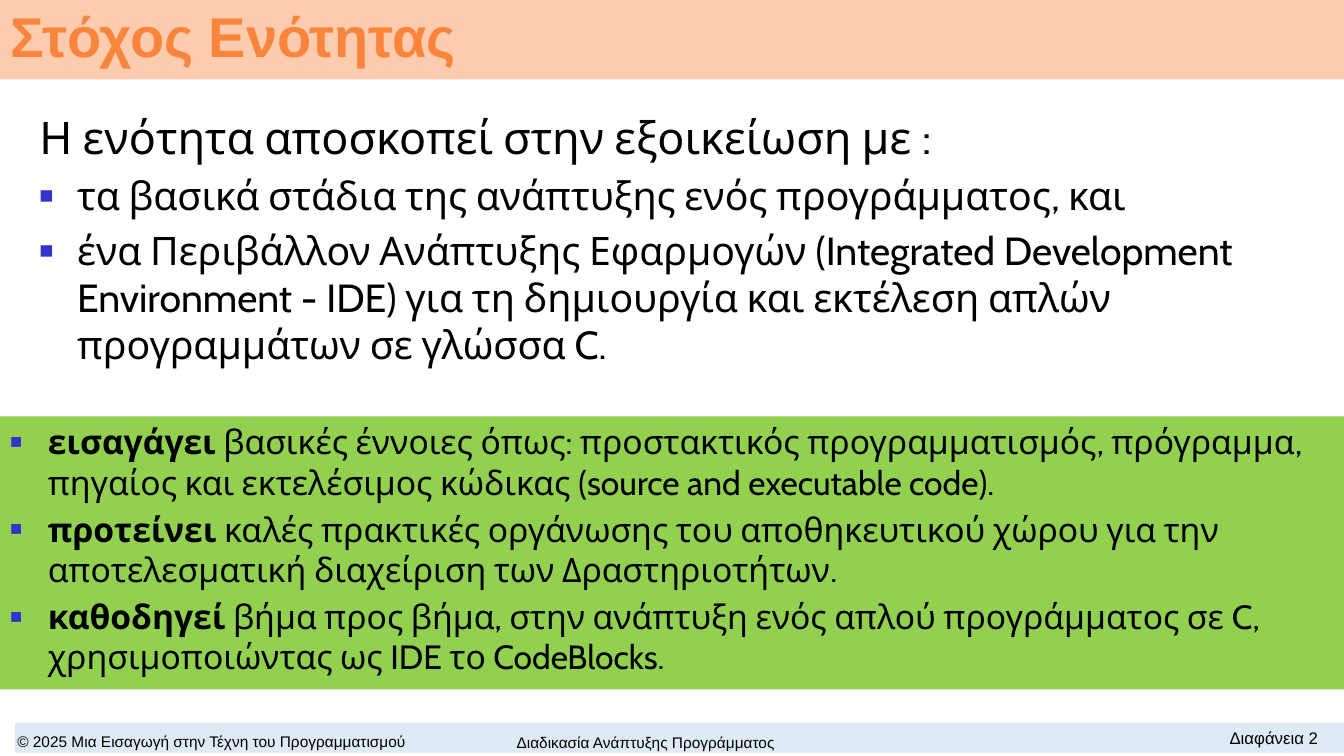
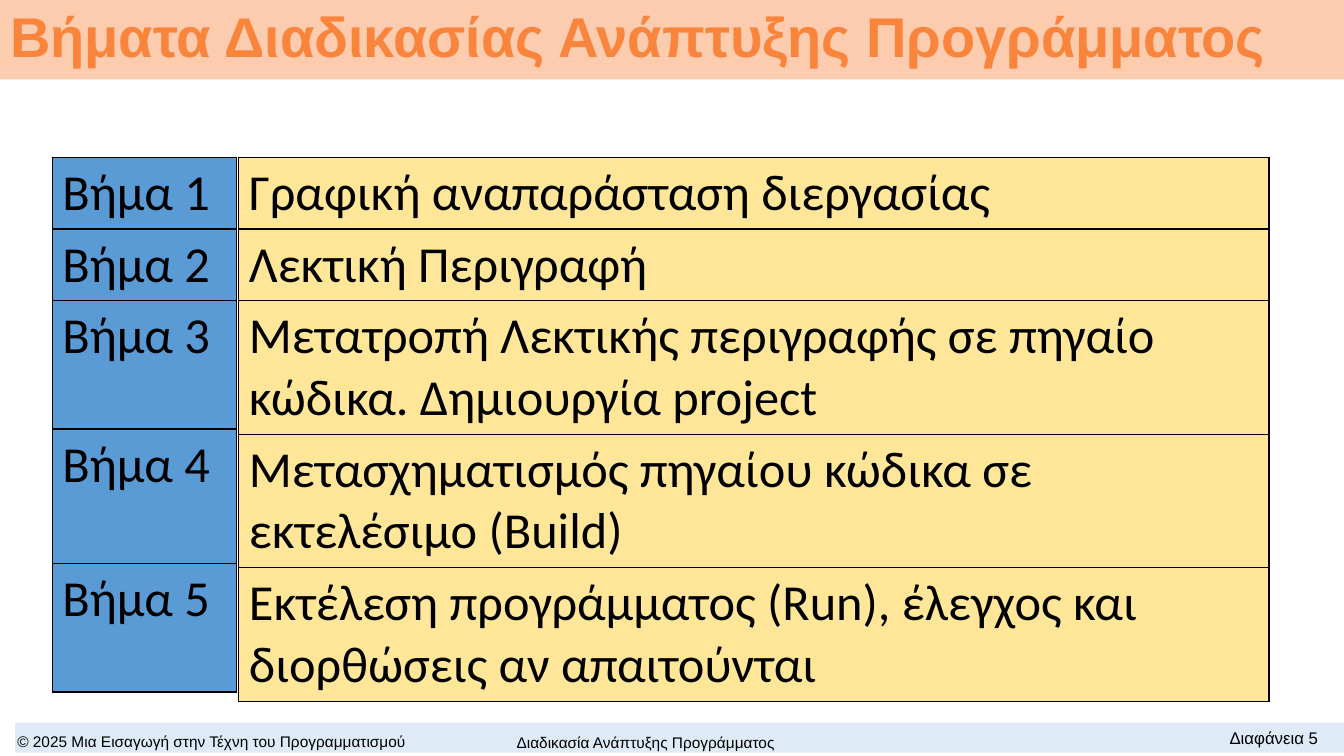
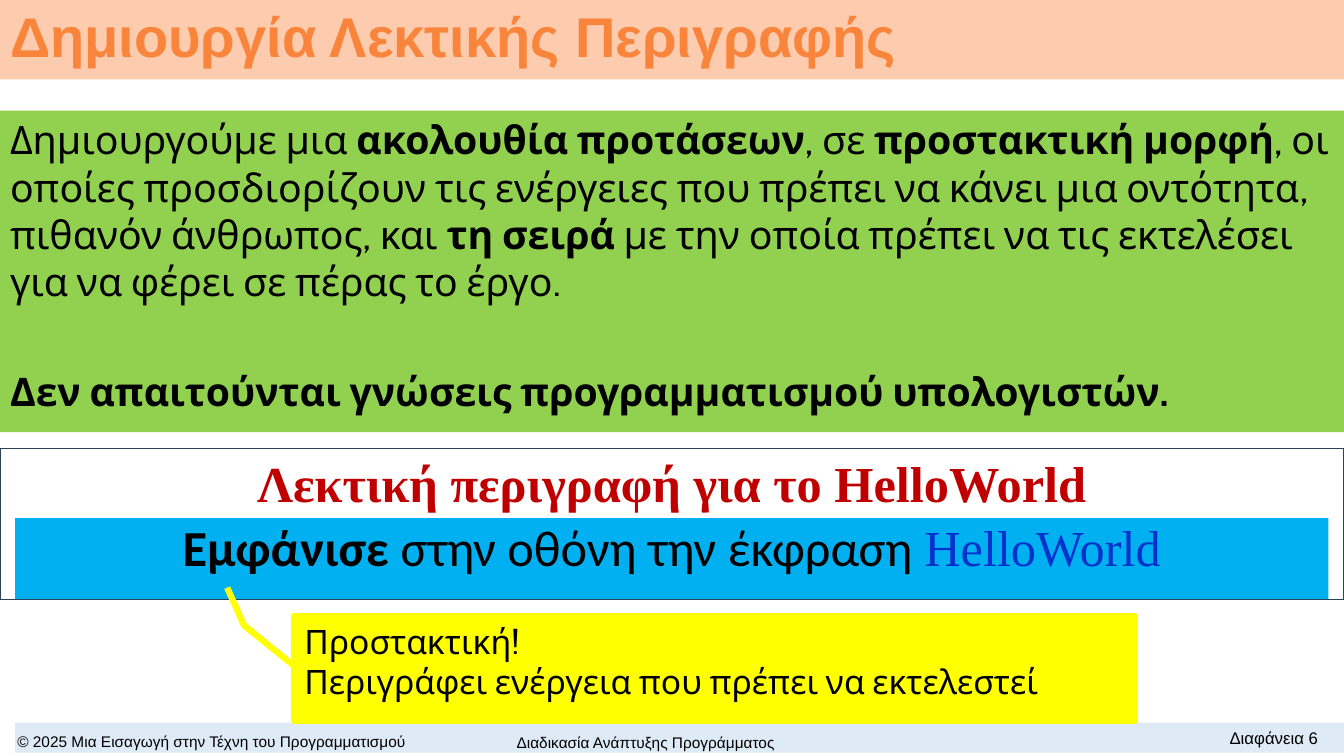
from dataclasses import dataclass
from typing import NamedTuple, Optional

import lxml.etree
import pptx
import pptx.dml.color
import pptx.enum.shapes
import pptx.enum.text
import pptx.oxml.ns
import pptx.shapes.autoshape
import pptx.slide
import pptx.text.text
import pptx.util

Align = pptx.enum.text.PP_ALIGN
Anchor = pptx.enum.text.MSO_ANCHOR
Preset = pptx.enum.shapes.MSO_SHAPE


@dataclass(frozen=True)
class Theme:
    black: str = "000000"
    white: str = "FFFFFF"
    title_text: str = "F9853D"
    title_band: str = "FDCBAD"
    footer_band: str = "DEEBF7"
    bullet: str = "3333CC"
    panel: str = "92D050"
    step: str = "5B9BD5"
    task: str = "FFE699"
    frame_line: str = "28445D"
    statement: str = "00B0F0"
    expression: str = "0033CC"
    heading: str = "C00000"
    callout: str = "FFFF00"
    ui_font: str = "Arial"
    body_font: str = "Cabin"
    table_font: str = "Calibri"
    code_font: str = "Times New Roman"
    title_size: int = 40
    large_size: int = 36
    lead_size: int = 32
    body_size: int = 28
    detail_size: int = 24
    page_size: int = 12
    footer_size: int = 11


THEME = Theme()
SLIDE_WIDTH, SLIDE_HEIGHT = 33.87, 19.05
BULLET_INDENT = 0.95


class Box(NamedTuple):
    left: float
    top: float
    width: float
    height: float

    def lengths(self) -> list[pptx.util.Length]:
        return [pptx.util.Cm(value) for value in self]


class Style(NamedTuple):
    font: str
    size: int
    color: str = THEME.black
    bold: bool = False


class Span(NamedTuple):
    text: str
    style: Style


class Para(NamedTuple):
    spans: list[Span]
    align: Align = Align.LEFT
    before: float = 0
    spacing: float = 1.0
    bullet: bool = False


class FooterText(NamedTuple):
    box: Box
    text: str
    size: int
    align: Align
    anchor: Anchor


class StepColumn(NamedTuple):
    left: float
    width: float
    fill: str
    row_heights: list[float]
    texts: list[str]


TITLE = Style(THEME.ui_font, THEME.title_size, THEME.title_text, True)
LEAD = Style(THEME.body_font, THEME.lead_size)
BODY = Style(THEME.body_font, THEME.body_size)
DETAIL = Style(THEME.body_font, THEME.detail_size)
TABLE = Style(THEME.table_font, THEME.large_size)
EXPRESSION = Style(THEME.code_font, THEME.large_size, THEME.expression)
HEADING = Style(THEME.code_font, THEME.large_size, THEME.heading, True)


def rgb(color: str) -> pptx.dml.color.RGBColor:
    return pptx.dml.color.RGBColor.from_string(color)


def strong(style: Style) -> Style:
    return style._replace(bold=True)


def add_mark(properties: lxml.etree._Element, tag: str, **attributes: str) -> lxml.etree._Element:
    return lxml.etree.SubElement(properties, pptx.oxml.ns.qn(tag), attributes)


def set_bullet(paragraph: pptx.text.text._Paragraph, shown: bool) -> None:
    properties = paragraph._p.get_or_add_pPr()
    indent = pptx.util.Cm(BULLET_INDENT if shown else 0)
    properties.set("marL", str(int(indent)))
    properties.set("indent", str(-int(indent)))
    if shown:
        add_mark(add_mark(properties, "a:buClr"), "a:srgbClr", val=THEME.bullet)
        add_mark(properties, "a:buSzPct", val="60000")
        add_mark(properties, "a:buFont", typeface=THEME.ui_font)
        add_mark(properties, "a:buChar", char="■")
    else:
        add_mark(properties, "a:buNone")


def add_span(paragraph: pptx.text.text._Paragraph, span: Span) -> None:
    font_values = {
        "name": span.style.font,
        "size": pptx.util.Pt(span.style.size),
        "bold": span.style.bold,
    }
    for position, line in enumerate(span.text.split("\n")):
        if position:
            paragraph.add_line_break()
        run = paragraph.add_run()
        run.text = line
        for name, value in font_values.items():
            setattr(run.font, name, value)
        run.font.color.rgb = rgb(span.style.color)


def write(frame: pptx.text.text.TextFrame, paras: list[Para], anchor: Anchor = Anchor.TOP) -> None:
    frame_values = {
        "word_wrap": True,
        "auto_size": pptx.enum.text.MSO_AUTO_SIZE.NONE,
        "vertical_anchor": anchor,
    }
    for name, value in frame_values.items():
        setattr(frame, name, value)
    for position, para in enumerate(paras):
        paragraph = frame.add_paragraph() if position else frame.paragraphs[0]
        set_bullet(paragraph, para.bullet)
        paragraph_values = {
            "alignment": para.align,
            "space_before": pptx.util.Pt(para.before),
            "line_spacing": para.spacing,
        }
        for name, value in paragraph_values.items():
            setattr(paragraph, name, value)
        for span in para.spans:
            add_span(paragraph, span)


def fill_placeholder(
    slide: pptx.slide.Slide,
    index: int,
    box: Box,
    paras: list[Para],
    fill: Optional[str] = None,
    anchor: Anchor = Anchor.TOP,
) -> None:
    placeholder = slide.placeholders[index]
    for name, value in zip(("left", "top", "width", "height"), box.lengths()):
        setattr(placeholder, name, value)
    if fill:
        placeholder.fill.solid()
        placeholder.fill.fore_color.rgb = rgb(fill)
    write(placeholder.text_frame, paras, anchor)


def add_panel(
    slide: pptx.slide.Slide,
    box: Box,
    fill: str,
    line: Optional[str] = None,
    line_width: float = 1,
    preset: Preset = Preset.RECTANGLE,
) -> pptx.shapes.autoshape.Shape:
    panel = slide.shapes.add_shape(preset, *box.lengths())
    panel.shadow.inherit = False
    panel.fill.solid()
    panel.fill.fore_color.rgb = rgb(fill)
    if line:
        panel.line.color.rgb = rgb(line)
        panel.line.width = pptx.util.Pt(line_width)
    else:
        panel.line.fill.background()
    return panel


def add_text(
    slide: pptx.slide.Slide, box: Box, paras: list[Para], anchor: Anchor = Anchor.TOP
) -> None:
    write(slide.shapes.add_textbox(*box.lengths()).text_frame, paras, anchor)


def add_step_column(slide: pptx.slide.Slide, top: float, column: StepColumn) -> None:
    box = Box(column.left, top, column.width, sum(column.row_heights))
    table = slide.shapes.add_table(len(column.texts), 1, *box.lengths()).table
    for name in ("first_row", "horz_banding"):
        setattr(table, name, False)
    for row, height, text in zip(table.rows, column.row_heights, column.texts):
        row.height = pptx.util.Cm(height)
        cell = row.cells[0]
        properties = cell._tc.get_or_add_tcPr()
        for side in ("a:lnL", "a:lnR", "a:lnT", "a:lnB"):
            border = add_mark(properties, side, w=str(int(pptx.util.Pt(1))))
            add_mark(add_mark(border, "a:solidFill"), "a:srgbClr", val=THEME.black)
        cell.fill.solid()
        cell.fill.fore_color.rgb = rgb(column.fill)
        add_span(cell.text_frame.paragraphs[0], Span(text, TABLE))


def add_slide(
    deck: pptx.presentation.Presentation, layout: int, title: str, number: int
) -> pptx.slide.Slide:
    slide = deck.slides.add_slide(deck.slide_layouts[layout])
    fill_placeholder(
        slide,
        0,
        Box(0, 0, SLIDE_WIDTH, 2),
        [Para([Span(title, TITLE)], spacing=0.9)],
        THEME.title_band,
        Anchor.MIDDLE,
    )
    add_panel(slide, Box(0.38, 18.21, SLIDE_WIDTH - 0.38, 0.76), THEME.footer_band)
    footer_texts = [
        FooterText(
            Box(0, 18.34, 10.67, 0.66),
            "© 2025 Μια Εισαγωγή στην Τέχνη του Προγραμματισμού",
            THEME.footer_size, Align.CENTER, Anchor.MIDDLE,
        ),
        FooterText(
            Box(28.24, 18.21, 5.23, 0.76),
            f"Διαφάνεια {number}",
            THEME.page_size, Align.RIGHT, Anchor.TOP,
        ),
        FooterText(
            Box(11.46, 18.34, 9.63, 0.71),
            "Διαδικασία Ανάπτυξης Προγράμματος",
            THEME.footer_size, Align.CENTER, Anchor.MIDDLE,
        ),
    ]
    for footer in footer_texts:
        span = Span(footer.text, Style(THEME.ui_font, footer.size))
        add_text(slide, footer.box, [Para([span], footer.align)], footer.anchor)
    return slide


def build_goal(deck: pptx.presentation.Presentation) -> None:
    slide = add_slide(deck, 3, "Στόχος Ενότητας", 2)
    goals = [
        "τα βασικά στάδια της ανάπτυξης ενός προγράμματος, και",
        "ένα Περιβάλλον Ανάπτυξης Εφαρμογών (Integrated Development Environment - IDE) "
        "για τη δημιουργία και εκτέλεση απλών προγραμμάτων σε γλώσσα C.",
    ]
    actions = [
        ("εισαγάγει", " βασικές έννοιες όπως: προστακτικός προγραμματισμός, πρόγραμμα, "
         "πηγαίος και εκτελέσιμος κώδικας (source and executable code)."),
        ("προτείνει", " καλές πρακτικές οργάνωσης του αποθηκευτικού χώρου για την "
         "αποτελεσματική διαχείριση των Δραστηριοτήτων."),
        ("καθοδηγεί", " βήμα προς βήμα, στην ανάπτυξη ενός απλού προγράμματος σε C, "
         "χρησιμοποιώντας ως IDE το CodeBlocks."),
    ]
    introduction = Para([Span("Η ενότητα αποσκοπεί στην εξοικείωση με :", LEAD)])
    goal_list = [Para([Span(goal, BODY)], before=5.6, bullet=True) for goal in goals]
    action_list = [
        Para(
            [Span(verb, strong(DETAIL)), Span(rest, DETAIL)],
            before=4.8 if position else 0,
            bullet=True,
        )
        for position, (verb, rest) in enumerate(actions)
    ]
    fill_placeholder(slide, 1, Box(0.74, 2.64, 30.81, 6.88), [introduction, *goal_list])
    fill_placeholder(slide, 2, Box(0, 10.49, SLIDE_WIDTH, 6.88), action_list, THEME.panel)


def build_steps(deck: pptx.presentation.Presentation) -> None:
    slide = add_slide(deck, 5, "Βήματα Διαδικασίας Ανάπτυξης Προγράμματος", 5)
    tasks = [
        "Γραφική αναπαράσταση διεργασίας",
        "Λεκτική Περιγραφή",
        "Μετατροπή Λεκτικής περιγραφής σε πηγαίο κώδικα. Δημιουργία project",
        "Μετασχηματισμός πηγαίου κώδικα σε εκτελέσιμο (Build)",
        "Εκτέλεση προγράμματος (Run), έλεγχος και διορθώσεις αν απαιτούνται",
    ]
    steps = [f"Βήμα {number}" for number in range(1, len(tasks) + 1)]
    columns = [
        StepColumn(1.32, 4.65, THEME.step, [1.78, 1.78, 3.23, 3.4, 3.23], steps),
        StepColumn(6.02, 25.96, THEME.task, [1.78, 1.78, 3.3, 3.3, 3.3], tasks),
    ]
    for column in columns:
        add_step_column(slide, 3.96, column)


def build_description(deck: pptx.presentation.Presentation) -> None:
    slide = add_slide(deck, 1, "Δημιουργία Λεκτικής Περιγραφής", 6)
    definition = [
        Span("Δημιουργούμε μια ", BODY),
        Span("ακολουθία προτάσεων", strong(BODY)),
        Span(", σε ", BODY),
        Span("προστακτική μορφή", strong(BODY)),
        Span(", οι οποίες προσδιορίζουν τις ενέργειες που πρέπει να κάνει μια οντότητα, "
             "πιθανόν άνθρωπος, και ", BODY),
        Span("τη σειρά ", strong(BODY)),
        Span("με την οποία πρέπει να τις εκτελέσει για να φέρει σε πέρας το έργο.", BODY),
    ]
    remark = Span("Δεν απαιτούνται γνώσεις προγραμματισμού υπολογιστών.", strong(BODY))
    fill_placeholder(
        slide,
        1,
        Box(0, 2.79, SLIDE_WIDTH, 8.1),
        [Para(definition), Para([remark], before=45)],
        THEME.panel,
    )

    add_panel(slide, Box(0, 11.3, SLIDE_WIDTH, 3.81), THEME.white, THEME.frame_line)
    statement = add_panel(slide, Box(0.38, 13.06, 33.1, 2.03), THEME.statement)
    command = [
        Span("Εμφάνισε", strong(TABLE)),
        Span(" στην οθόνη την έκφραση ", TABLE),
        Span("HelloWorld", EXPRESSION),
    ]
    write(statement.text_frame, [Para(command, Align.CENTER, spacing=0.9)])
    heading = Span("Λεκτική περιγραφή για το HelloWorld", HEADING)
    add_text(slide, Box(0, 11.28, SLIDE_WIDTH, 1.8), [Para([heading], Align.CENTER)])

    hint = add_panel(
        slide,
        Box(7.42, 15.52, 21.18, 2.64),
        THEME.callout,
        THEME.callout,
        4.5,
        Preset.LINE_CALLOUT_2,
    )
    for position, value in enumerate((0.48, 0, 0.09, -0.06, -0.27, -0.08)):
        hint.adjustments[position] = value
    explanation = "Προστακτική!\nΠεριγράφει ενέργεια που πρέπει να εκτελεστεί"
    write(hint.text_frame, [Para([Span(explanation, DETAIL)])])


def main() -> None:
    deck = pptx.Presentation()
    deck.slide_width = pptx.util.Cm(SLIDE_WIDTH)
    deck.slide_height = pptx.util.Cm(SLIDE_HEIGHT)
    for build in (build_goal, build_steps, build_description):
        build(deck)
    deck.save("out.pptx")


if __name__ == "__main__":
    main()
